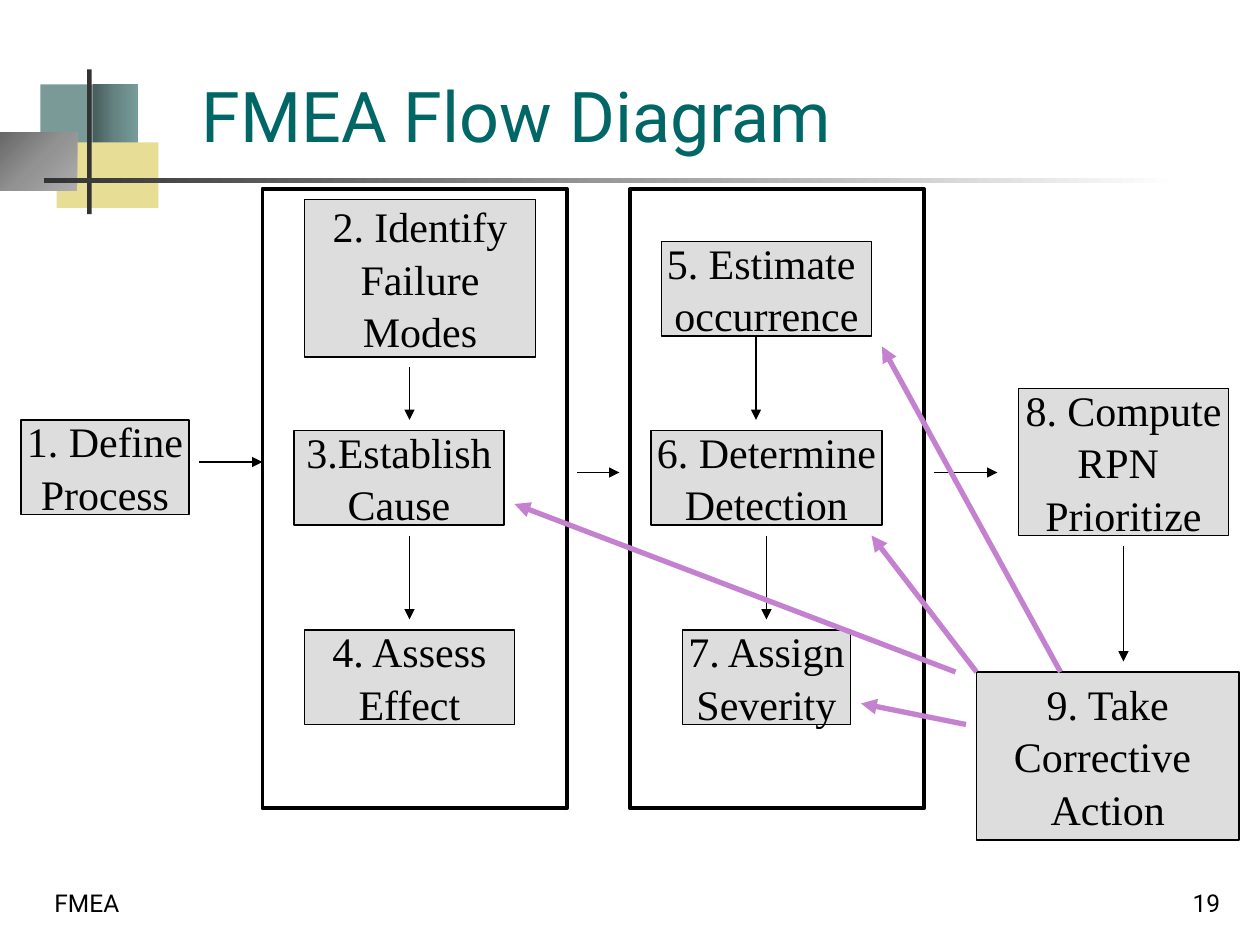
from lxml.etree import SubElement
from pptx import Presentation
from pptx.dml.color import RGBColor
from pptx.enum.shapes import MSO_CONNECTOR, MSO_SHAPE
from pptx.enum.text import MSO_ANCHOR, MSO_AUTO_SIZE, PP_ALIGN
from pptx.oxml import parse_xml
from pptx.oxml.ns import nsdecls, qn
from pptx.util import Cm, Pt

HUES = {
    "ink": "000000", "title": "006666", "box": "DDDDDD", "back": "C481CF",
    "teal": "7A9A98", "sand": "E7DD95", "bar": "333333",
}
TEAL = [(0, "475D5B"), (50, "658482"), (100, "789C9A")]
GREY = [(0, "676767"), (50, "929292"), (100, "ADADAD")]
FADE = [(0, "333333"), (100, "FFFFFF")]
LINEAR = '<a:lin ang="0" scaled="0"/>'
CORNER = '<a:path path="circle"><a:fillToRect r="100000" b="100000"/></a:path>'
STEP = 2.54 / 12


def grid(*nums):
    return [Cm(num * STEP) for num in nums]


def hue(name):
    return RGBColor.from_string(HUES[name])


def write(frame, text, size=24, font="Times New Roman", color="ink",
          align=PP_ALIGN.LEFT, anchor=MSO_ANCHOR.BOTTOM, wrap=True, gap=0):
    frame.auto_size = MSO_AUTO_SIZE.NONE
    frame.word_wrap = wrap
    frame.vertical_anchor = anchor
    for num, line in enumerate(text.split("\n")):
        para = frame.paragraphs[0] if num == 0 else frame.add_paragraph()
        para.alignment = align
        para.space_before = Pt(gap)
        run = para.add_run()
        run.text = line
        run.font.size = Pt(size)
        run.font.name = font
        run.font.color.rgb = hue(color)


class Board:
    sans = "Roboto"

    def __init__(self, slide):
        self.slide = slide

    def title(self, text, *spot):
        shape = self.slide.shapes.title
        shape.left, shape.top, shape.width, shape.height = grid(*spot)
        write(shape.text_frame, text, size=40, font=self.sans, color="title")

    def label(self, text, *spot, align=PP_ALIGN.LEFT):
        shape = self.slide.shapes.add_textbox(*grid(*spot))
        write(shape.text_frame, text, size=14, font=self.sans, align=align)

    def rect(self, *spot, fill=None, line=0):
        shape = self.slide.shapes.add_shape(MSO_SHAPE.RECTANGLE, *grid(*spot))
        shape.shadow.inherit = False
        if fill:
            shape.fill.solid()
            shape.fill.fore_color.rgb = hue(fill)
        else:
            shape.fill.background()
        if line:
            shape.line.color.rgb = hue("ink")
            shape.line.width = Pt(line)
        else:
            shape.line.fill.background()
        return shape

    def blend(self, *spot, stops, way=LINEAR):
        shape = self.rect(*spot)
        marks = "".join(
            f'<a:gs pos="{pos * 1000}"><a:srgbClr val="{tone}"/></a:gs>'
            for pos, tone in stops)
        props = shape.element.spPr
        old = props.find(qn("a:noFill"))
        props.replace(old, parse_xml(
            f'<a:gradFill {nsdecls("a")} rotWithShape="1">'
            f'<a:gsLst>{marks}</a:gsLst>{way}</a:gradFill>'))

    def box(self, text, *spot):
        shape = self.rect(*spot, fill="box", line=0.75)
        write(shape.text_frame, text, align=PP_ALIGN.CENTER,
              anchor=MSO_ANCHOR.MIDDLE, wrap=False, gap=1.2)

    def arrow(self, *ends, color="ink", width=0.75):
        link = self.slide.shapes.add_connector(
            MSO_CONNECTOR.STRAIGHT, *grid(*ends))
        link.line.color.rgb = hue(color)
        link.line.width = Pt(width)
        SubElement(link.line._get_or_add_ln(), qn("a:tailEnd"), type="triangle")
        SubElement(link.element.spPr, qn("a:effectLst"))


deck = Presentation()
deck.slide_width, deck.slide_height = Cm(25.4), Cm(19.05)
board = Board(deck.slides.add_slide(deck.slide_layouts[5]))

board.rect(3.84, 8.04, 5.76, 6.24, fill="teal")
board.blend(8.88, 8.04, 4.28, 6.24, stops=TEAL)
board.rect(5.4, 13.56, 9.7, 6.24, fill="sand")
board.blend(0, 12.6, 7.35, 5.55, stops=GREY, way=CORNER)
board.rect(8.3, 6.6, 0.42, 13.8, fill="bar")
board.blend(4.2, 16.98, 108, 0.42, stops=FADE)

board.title("FMEA Flow Diagram", 18, 5, 93, 10.5)
board.label("FMEA", 4, 82, 25, 6)
board.label("19", 92.4, 82, 25, 6, align=PP_ALIGN.RIGHT)

for step in [
    ("1. Define\nProcess", 2, 40, 16, 9),
    ("2. Identify\nFailure\nModes", 29, 19, 22, 15),
    ("3.Establish\nCause", 28, 41, 20, 9),
    ("4. Assess\nEffect", 29, 60, 20, 9),
    ("5. Estimate \noccurrence", 63, 23, 20, 9),
    ("6. Determine\nDetection", 62, 41, 22, 9),
    ("7. Assign\nSeverity", 65, 60, 16, 9),
    ("8. Compute\nRPN \nPrioritize", 97, 37, 20, 14),
    ("9. Take\nCorrective \nAction", 93, 64, 25, 16),
]:
    board.box(*step)

for left, width in [(25, 29), (60, 28)]:
    board.rect(left, 18, width, 59, line=2.25)

for left, right, top in [(19, 25, 44), (55, 59, 45), (89, 95, 45)]:
    board.arrow(left, top, right, top)
for left, top, base in [(39, 35, 40), (39, 51, 59), (72, 32, 40),
                        (73, 51, 59), (107, 52, 63)]:
    board.arrow(left, top, left, base)
for ends in [(91, 64, 49, 48), (93, 64, 83, 51),
             (101, 64, 84, 33), (92, 69, 82, 67)]:
    board.arrow(*ends, color="back", width=3)

deck.save("out.pptx")
